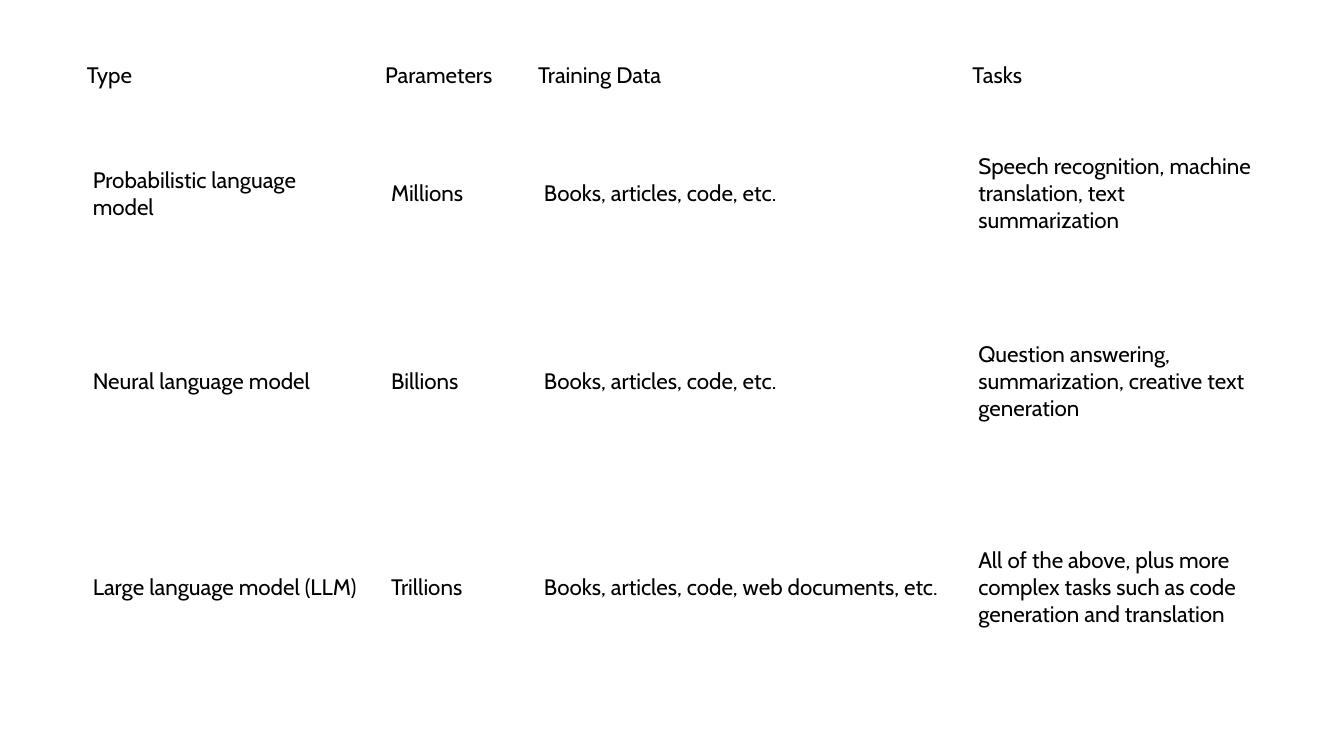
from dataclasses import dataclass

from pptx import Presentation
from pptx.dml.color import RGBColor
from pptx.enum.text import MSO_ANCHOR
from pptx.util import Pt

MIDDLE = MSO_ANCHOR.MIDDLE
BLANK_LAYOUT = 6


@dataclass(frozen=True)
class Theme:
    font: str = "Cabin"
    text_size: float = 16
    ink: RGBColor = RGBColor(0, 0, 0)
    paper: RGBColor = RGBColor(255, 255, 255)


class SlideBuilder:
    def __init__(self, slide, theme):
        self.slide = slide
        self.theme = theme

    def background(self):
        fill = self.slide.background.fill
        fill.solid()
        fill.fore_color.rgb = self.theme.paper

    def table(self, left, top, widths, heights, records):
        grid = self.slide.shapes.add_table(
            len(heights), len(widths), Pt(left), Pt(top),
            Pt(sum(widths)), Pt(sum(heights))).table
        grid.first_row = False
        grid.horz_banding = False
        for column, width in zip(grid.columns, widths):
            column.width = Pt(width)
        for row, height, record in zip(grid.rows, heights, records):
            row.height = Pt(height)
            is_header = record is records[0]
            side, edge = (6.6, 3.3) if is_header else (10.8, 10.8)
            for cell, wording in zip(row.cells, record):
                self.cell(cell, wording, side, edge)

    def cell(self, cell, wording, side, edge):
        cell_format = {
            "text": wording,
            "vertical_anchor": MIDDLE,
            "margin_left": Pt(side),
            "margin_right": Pt(side),
            "margin_top": Pt(edge),
            "margin_bottom": Pt(edge),
        }
        for attribute, value in cell_format.items():
            setattr(cell, attribute, value)
        cell.fill.solid()
        cell.fill.fore_color.rgb = self.theme.paper
        font = cell.text_frame.paragraphs[0].runs[0].font
        font_format = {
            "name": self.theme.font,
            "size": Pt(self.theme.text_size),
            "bold": False,
        }
        for attribute, value in font_format.items():
            setattr(font, attribute, value)
        font.color.rgb = self.theme.ink


MODEL_COMPARISON = [
    ("Type", "Parameters", "Training Data", "Tasks"),
    ("Probabilistic language model", "Millions", "Books, articles, code, etc.",
     "Speech recognition, machine translation, text summarization"),
    ("Neural language model", "Billions", "Books, articles, code, etc.",
     "Question answering, summarization, creative text generation"),
    ("Large language model (LLM)", "Trillions",
     "Books, articles, code, web documents, etc.",
     "All of the above, plus more complex tasks such as code generation "
     "and translation"),
]


def main():
    deck = Presentation()
    deck.slide_width, deck.slide_height = Pt(960), Pt(540)
    slide = deck.slides.add_slide(deck.slide_layouts[BLANK_LAYOUT])
    builder = SlideBuilder(slide, Theme())
    builder.background()
    builder.table(
        left=55.5, top=36,
        widths=[213.1, 109.2, 310.3, 219.1],
        heights=[35.3, 134, 134, 160.5],
        records=MODEL_COMPARISON)
    deck.save("out.pptx")


if __name__ == "__main__":
    main()
